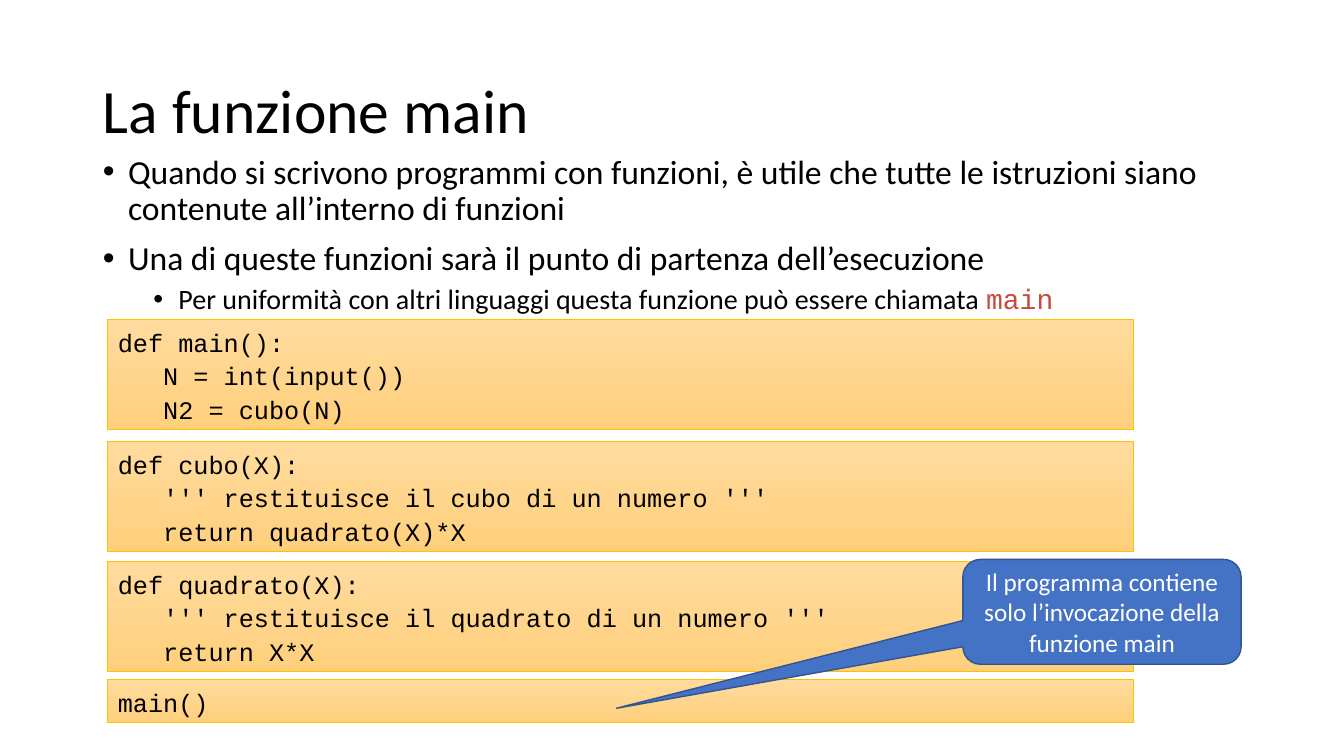
import dataclasses

import lxml.etree
import pptx
import pptx.dml.color
import pptx.enum.shapes
import pptx.enum.text
import pptx.oxml.ns
import pptx.util

Inches = pptx.util.Inches
Pt = pptx.util.Pt
PP_ALIGN = pptx.enum.text.PP_ALIGN
ANCHOR = pptx.enum.text.MSO_ANCHOR
AUTO_SIZE = pptx.enum.text.MSO_AUTO_SIZE
SHAPE = pptx.enum.shapes.MSO_SHAPE


@dataclasses.dataclass(frozen=True)
class Theme:
    text_font: str = "Calibri"
    code_font: str = "Courier New"
    title_size: int = 44
    body_size: int = 24
    detail_size: int = 20
    small_size: int = 18
    ink: str = "000000"
    keyword: str = "C9493F"
    code_top: str = "FFDB9E"
    code_bottom: str = "FFD07C"
    code_border: str = "FFC000"
    callout_fill: str = "4472C4"
    callout_border: str = "325491"
    callout_ink: str = "FFFFFF"


def rgb(value):
    return pptx.dml.color.RGBColor.from_string(value)


def add_text(paragraph, text, *, size, color, font):
    run = paragraph.add_run()
    run.text = text
    run.font.size = Pt(size)
    run.font.name = font
    run.font.color.rgb = rgb(color)


def add_bullet(paragraph, left, hanging):
    properties = paragraph._p.get_or_add_pPr()
    properties.set("marL", str(Inches(left)))
    properties.set("indent", str(-Inches(hanging)))
    ns = pptx.oxml.ns.qn
    lxml.etree.SubElement(properties, ns("a:buFont")).set("typeface", "Arial")
    lxml.etree.SubElement(properties, ns("a:buChar")).set("char", "•")


class SlideBuilder:
    def __init__(self, slide, theme):
        self.slide = slide
        self.theme = theme

    def place(self, placeholder, box, anchor):
        (placeholder.left, placeholder.top,
         placeholder.width, placeholder.height) = map(Inches, box)
        frame = placeholder.text_frame
        frame.word_wrap = True
        frame.auto_size = AUTO_SIZE.NONE
        frame.vertical_anchor = anchor
        return frame

    def title(self, text, box):
        frame = self.place(self.slide.shapes.title, box, ANCHOR.MIDDLE)
        heading = frame.paragraphs[0]
        heading.alignment = PP_ALIGN.LEFT
        heading.line_spacing = 0.9
        add_text(heading, text, size=self.theme.title_size,
                 color=self.theme.ink, font=self.theme.text_font)

    def bullets(self, items, box):
        theme = self.theme
        frame = self.place(self.slide.placeholders[1], box, ANCHOR.TOP)
        for index, (level, text, keyword) in enumerate(items):
            item = frame.add_paragraph() if index else frame.paragraphs[0]
            item.level = level
            add_bullet(item, 0.25 + 0.5 * level, 0.25)
            item.line_spacing = 0.9
            item.space_before = Pt((5 if level else 10) if index else 0)
            size = theme.detail_size if level else theme.body_size
            add_text(item, text, size=size, color=theme.ink, font=theme.text_font)
            if keyword:
                add_text(item, keyword, size=size, color=theme.keyword,
                         font=theme.code_font)

    def shape(self, kind, box, border, border_width):
        shape = self.slide.shapes.add_shape(kind, *map(Inches, box))
        shape.shadow.inherit = False
        shape.line.color.rgb = rgb(border)
        shape.line.width = Pt(border_width)
        shape.text_frame.word_wrap = True
        return shape

    def code(self, lines, box):
        theme = self.theme
        panel = self.shape(SHAPE.RECTANGLE, box, theme.code_border, 0.5)
        panel.fill.gradient()
        panel.fill.gradient_angle = 270
        for stop, color in zip(panel.fill.gradient_stops,
                               (theme.code_top, theme.code_bottom)):
            stop.color.rgb = rgb(color)
        frame = panel.text_frame
        frame.vertical_anchor = ANCHOR.TOP
        frame.auto_size = AUTO_SIZE.SHAPE_TO_FIT_TEXT
        for index, line in enumerate(lines):
            row = frame.add_paragraph() if index else frame.paragraphs[0]
            row.alignment = PP_ALIGN.LEFT
            row.line_spacing = 1.1
            add_text(row, line, size=theme.small_size, color=theme.ink,
                     font=theme.code_font)

    def callout(self, text, box, pointer):
        theme = self.theme
        bubble = self.shape(SHAPE.ROUNDED_RECTANGULAR_CALLOUT, box,
                            theme.callout_border, 1)
        bubble.fill.solid()
        bubble.fill.fore_color.rgb = rgb(theme.callout_fill)
        bubble.adjustments[0], bubble.adjustments[1] = pointer
        bubble.text_frame.vertical_anchor = ANCHOR.MIDDLE
        remark = bubble.text_frame.paragraphs[0]
        remark.alignment = PP_ALIGN.CENTER
        add_text(remark, text, size=theme.small_size, color=theme.callout_ink,
                 font=theme.text_font)


def main():
    presentation = pptx.Presentation()
    presentation.slide_width = Inches(13.33)
    presentation.slide_height = Inches(7.5)
    slide = presentation.slides.add_slide(presentation.slide_layouts[1])
    builder = SlideBuilder(slide, Theme())

    # Title and explanation
    builder.title("La funzione main", (0.92, 0.4, 11.5, 1.45))
    builder.bullets([
        (0, "Quando si scrivono programmi con funzioni, è utile che tutte le "
            "istruzioni siano contenute all’interno di funzioni", None),
        (0, "Una di queste funzioni sarà il punto di partenza dell’esecuzione",
         None),
        (1, "Per uniformità con altri linguaggi questa funzione può essere "
            "chiamata ", "main"),
    ], (0.92, 1.49, 11.5, 5.27))

    # Program listing, one panel per part
    program = [
        (3.17, 1.09, ["def main():",
                      "   N = int(input())",
                      "   N2 = cubo(N)"]),
        (4.38, 1.09, ["def cubo(X):",
                      "   ''' restituisce il cubo di un numero '''",
                      "   return quadrato(X)*X"]),
        (5.57, 1.09, ["def quadrato(X):",
                      "   ''' restituisce il quadrato di un numero '''",
                      "   return X*X"]),
        (6.74, 0.43, ["main()"]),
    ]
    for top, height, lines in program:
        builder.code(lines, (1.07, top, 10.17, height))

    # Remark pointing at the call
    builder.callout("Il programma contiene solo l’invocazione della funzione main",
                    (9.55, 5.55, 2.76, 1.04), (-1.745, 0.92))

    presentation.save("out.pptx")


if __name__ == "__main__":
    main()
